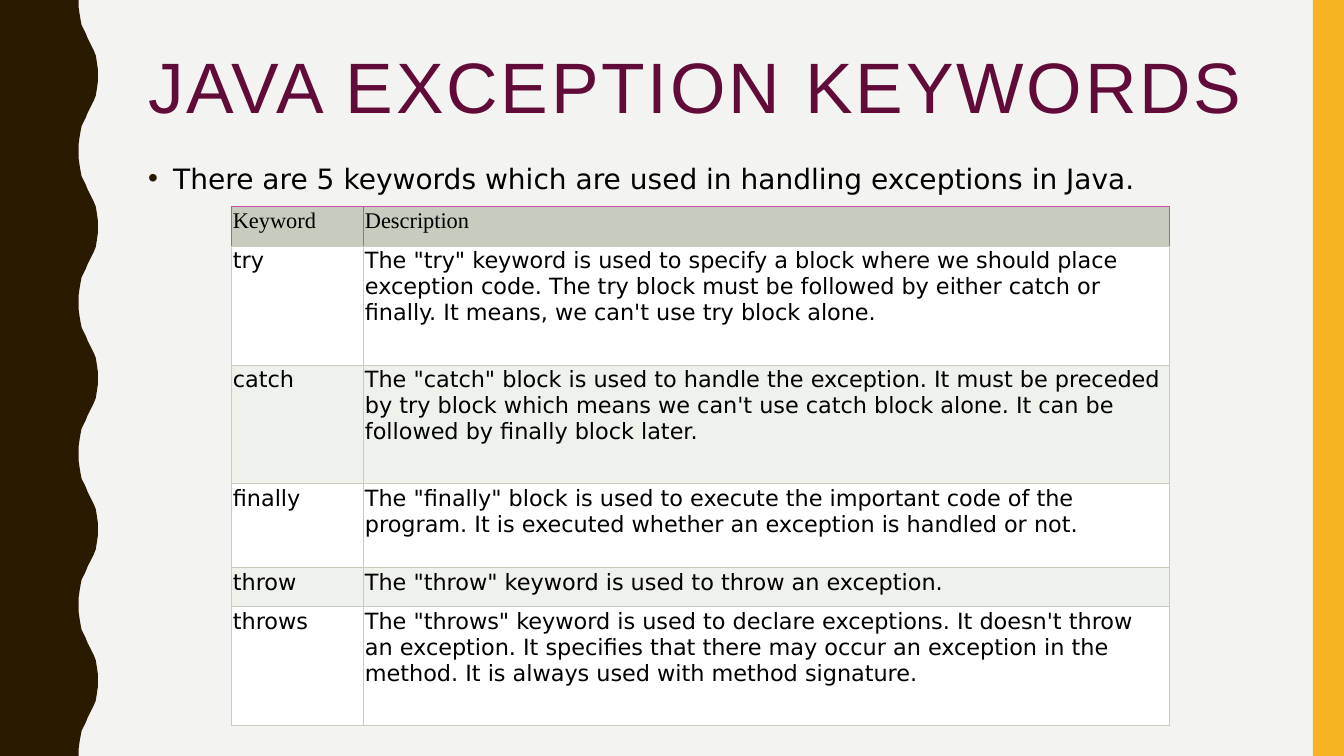
from dataclasses import dataclass

import pptx
import pptx.dml.color
import pptx.enum.shapes
import pptx.enum.text
import pptx.oxml
import pptx.oxml.ns
import pptx.util
from pptx.util import Inches

COLORS = {
    "background": "F3F3F2",
    "wave": "2A1A00",
    "stripe": "F8B323",
    "title": "610B38",
    "text": "000000",
    "header": "C7CCBE",
    "header_edge": "D04EA9",
    "plain": "FFFFFF",
    "band": "EFF1EB",
}
SLIDE_W, SLIDE_H = 13.33, 7.5
WAVE_PERIOD = 1.5
WAVE_RISE = [
    (0.78, 0), (0.78, 0.07), (0.79, 0.14), (0.8, 0.2), (0.81, 0.25),
    (0.83, 0.29), (0.85, 0.33), (0.87, 0.38), (0.89, 0.42), (0.91, 0.46),
    (0.93, 0.5), (0.95, 0.55), (0.96, 0.61), (0.97, 0.68), (0.97, 0.75),
]
COLUMN_WIDTHS = (1.31, 8)
CELL_INSET = 0.02


@dataclass
class KeywordRow:
    keyword: str
    description: str
    height: float
    font: str = "DejaVu Sans"


ROWS = [
    KeywordRow("Keyword", "Description", 0.39, "Times New Roman"),
    KeywordRow("try", "The \"try\" keyword is used to specify a block where we should place "
               "exception code. The try block must be followed by either catch or finally. "
               "It means, we can't use try block alone.", 1.18),
    KeywordRow("catch", "The \"catch\" block is used to handle the exception. It must be "
               "preceded by try block which means we can't use catch block alone. "
               "It can be followed by finally block later.", 1.18),
    KeywordRow("finally", "The \"finally\" block is used to execute the important code of the "
               "program. It is executed whether an exception is handled or not.", 0.83),
    KeywordRow("throw", "The \"throw\" keyword is used to throw an exception.", 0.39),
    KeywordRow("throws", "The \"throws\" keyword is used to declare exceptions. It doesn't throw "
               "an exception. It specifies that there may occur an exception in the method. "
               "It is always used with method signature.", 1.18),
]


def rgb(name: str) -> pptx.dml.color.RGBColor:
    return pptx.dml.color.RGBColor.from_string(COLORS[name])


def parse_xml(tag: str, attrs: str, inner: str = ""):
    """Make one element of the drawing namespace."""
    ns = pptx.oxml.ns.nsdecls("a")
    return pptx.oxml.parse_xml(f"<a:{tag} {ns} {attrs}>{inner}</a:{tag}>")


def write_text(tf, text: str, *, size: float, font: str, color: str = "text",
               line_spacing: float = 1.0, tracking: float = 0, bullet: str = "") -> None:
    tf.word_wrap = True
    p = tf.paragraphs[0]
    p.line_spacing = line_spacing
    if bullet:
        pPr = p._p.get_or_add_pPr()
        indent = Inches(0.25)
        pPr.set("marL", str(indent))
        pPr.set("indent", str(-indent))
        pPr.append(parse_xml("buClr", "", f'<a:srgbClr val="{COLORS["wave"]}"/>'))
        pPr.append(parse_xml("buFont", 'typeface="Arial"'))
        pPr.append(parse_xml("buChar", f'char="{bullet}"'))
    r = p.add_run()
    r.text = text
    r.font.size = pptx.util.Pt(size)
    r.font.name = font
    r.font.color.rgb = rgb(color)
    if tracking:
        r._r.get_or_add_rPr().set("spc", str(round(tracking * 100)))


def paint(sp, color: str) -> None:
    sp.shadow.inherit = False
    sp.fill.solid()
    sp.fill.fore_color.rgb = rgb(color)
    sp.line.fill.background()


def add_wave(s) -> None:
    """Draw the left band, whose right edge repeats a rise and its mirror."""
    fall = [(x, WAVE_PERIOD - y) for x, y in reversed(WAVE_RISE[1:-1])]
    edge = [(x, y + i * WAVE_PERIOD)
            for i in range(round(SLIDE_H / WAVE_PERIOD)) for x, y in WAVE_RISE + fall]
    outline = edge + [(WAVE_RISE[0][0], SLIDE_H), (0, SLIDE_H)]
    builder = s.shapes.build_freeform(0, 0)
    builder.add_line_segments([(Inches(x), Inches(y)) for x, y in outline], close=True)
    paint(builder.convert_to_shape(), "wave")


def add_stripe(s) -> None:
    sp = s.shapes.add_shape(pptx.enum.shapes.MSO_SHAPE.RECTANGLE,
                            Inches(13.02), 0, Inches(0.31), Inches(SLIDE_H))
    paint(sp, "stripe")


def add_text_box(s, top: float, height: float):
    sp = s.shapes.add_textbox(Inches(1.37), Inches(top), Inches(11.13), Inches(height))
    return sp.text_frame


def set_borders(cell, color: str) -> None:
    """Give the bottom edge the table colour and the other edges the given one."""
    tcPr = cell._tc.get_or_add_tcPr()
    for i, side in enumerate("LRTB"):
        edge = COLORS["header" if side == "B" else color]
        fill = f'<a:solidFill><a:srgbClr val="{edge}"/></a:solidFill>'
        tcPr.insert(i, parse_xml(f"ln{side}", f'w="{pptx.util.Pt(0.6)}"', fill))


def add_keyword_table(s) -> None:
    frame = s.shapes.add_table(len(ROWS), len(COLUMN_WIDTHS), Inches(2.29), Inches(2.05),
                               Inches(sum(COLUMN_WIDTHS)), Inches(sum(r.height for r in ROWS)))
    table = frame.table
    table.horz_banding = False
    for column, width in zip(table.columns, COLUMN_WIDTHS):
        column.width = Inches(width)
    for i, row in enumerate(ROWS):
        table.rows[i].height = Inches(row.height)
        fill = "header" if i == 0 else "plain" if i % 2 else "band"
        for j, text in enumerate((row.keyword, row.description)):
            cell = table.cell(i, j)
            cell.margin_left = cell.margin_right = Inches(CELL_INSET)
            cell.margin_top = cell.margin_bottom = Inches(CELL_INSET)
            cell.fill.solid()
            cell.fill.fore_color.rgb = rgb(fill)
            write_text(cell.text_frame, text, size=16, font=row.font)
            set_borders(cell, "header_edge" if i == 0 else "header")


def main() -> None:
    prs = pptx.Presentation()
    prs.slide_width, prs.slide_height = Inches(SLIDE_W), Inches(SLIDE_H)
    s = prs.slides.add_slide(prs.slide_layouts[6])
    s.background.fill.solid()
    s.background.fill.fore_color.rgb = rgb("background")
    add_wave(s)
    add_stripe(s)

    title = add_text_box(s, 0.42, 1.63)
    title.margin_top = Inches(0.09)
    write_text(title, "JAVA EXCEPTION KEYWORDS", size=51, font="Arial",
               color="title", line_spacing=0.9, tracking=2)
    body = add_text_box(s, 1.52, 5.15)
    write_text(body, "There are 5 keywords which are used in handling exceptions in Java.",
               size=20, font="DejaVu Sans", line_spacing=1.1, bullet="•")
    add_keyword_table(s)
    prs.save("out.pptx")


if __name__ == "__main__":
    main()
